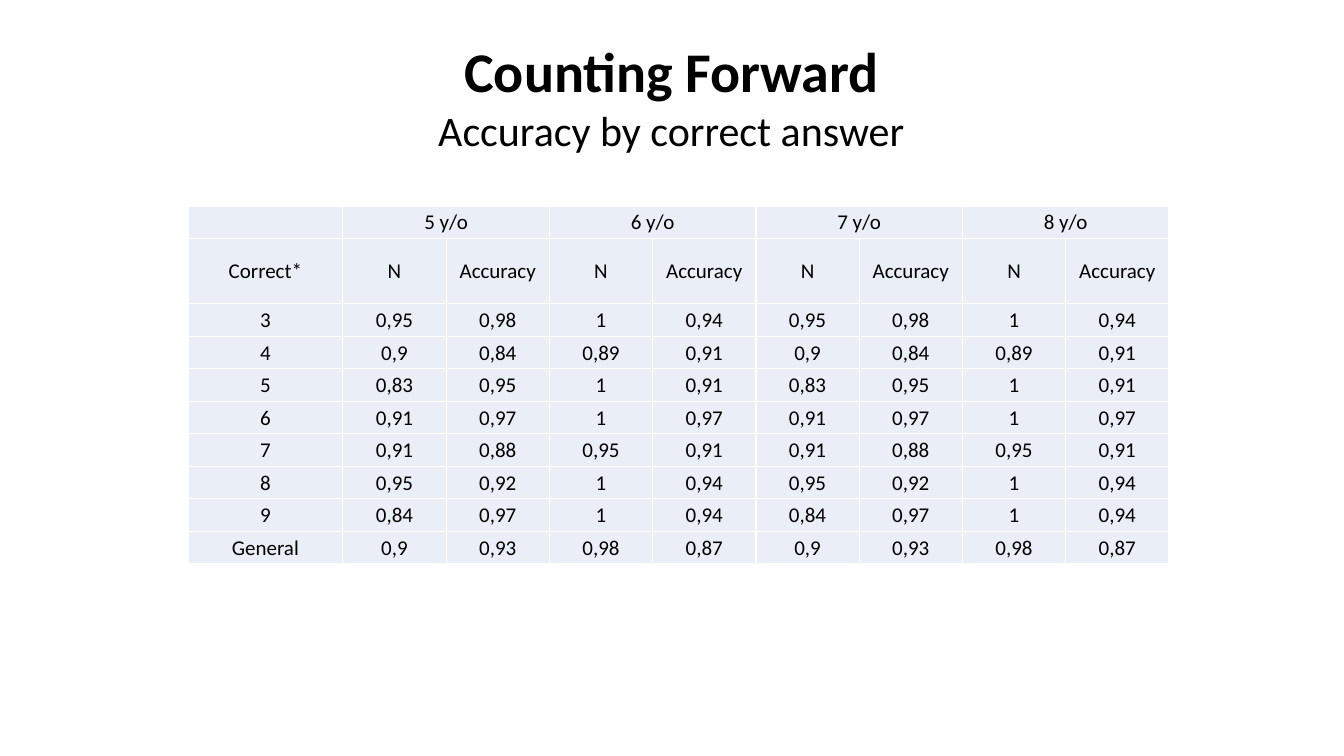
"""Build the Counting Forward slide with its accuracy table."""
import lxml.etree
import pptx
import pptx.dml.color
import pptx.enum.text
import pptx.oxml.ns
import pptx.util

COLORS = {"text": "000000", "cell": "EAEFF7", "border": "FFFFFF"}
AGES = ["5 y/o", "6 y/o", "7 y/o", "8 y/o"]
MEASURES = ["N", "Accuracy"]
RESULTS = [
    ["3", "0,95", "0,98", "1", "0,94"],
    ["4", "0,9", "0,84", "0,89", "0,91"],
    ["5", "0,83", "0,95", "1", "0,91"],
    ["6", "0,91", "0,97", "1", "0,97"],
    ["7", "0,91", "0,88", "0,95", "0,91"],
    ["8", "0,95", "0,92", "1", "0,94"],
    ["9", "0,84", "0,97", "1", "0,94"],
    ["General", "0,9", "0,93", "0,98", "0,87"],
]


def px(length):
    return pptx.util.Emu(round(length * 914400 / 100.8))


def rgb(name):
    return pptx.dml.color.RGBColor.from_string(COLORS[name])


def write(paragraph, text, size=15, bold=False, font="Calibri", color="text"):
    paragraph.alignment = pptx.enum.text.PP_ALIGN.CENTER
    run = paragraph.add_run()
    run.text = text
    run.font.name = font
    run.font.size = pptx.util.Pt(size)
    run.font.bold = bold
    run.font.color.rgb = rgb(color)


class AccuracySlide:
    def __init__(self, presentation):
        self.slide = presentation.slides.add_slide(presentation.slide_layouts[6])
        self.border_width = pptx.util.Pt(1)

    def heading(self, left, top, width, height, title, subtitle):
        shape = self.slide.shapes.add_textbox(px(left), px(top), px(width), px(height))
        frame = shape.text_frame
        frame.word_wrap = True
        frame.auto_size = pptx.enum.text.MSO_AUTO_SIZE.SHAPE_TO_FIT_TEXT
        write(frame.paragraphs[0], title, size=40, bold=True)
        write(frame.add_paragraph(), subtitle, size=30)

    def table(self, left, top, width, height, rows, column_shares, row_shares):
        table = self.slide.shapes.add_table(
            len(rows), len(column_shares), px(left), px(top), px(width), px(height)
        ).table
        table.first_row = False
        table.horz_banding = False
        for column, share in zip(table.columns, column_shares):
            column.width = px(width * share / sum(column_shares))
        for row, share in zip(table.rows, row_shares):
            row.height = px(height * share / sum(row_shares))
        for row, values in zip(table.rows, rows):
            for cell, value in zip(row.cells, values):
                self.style_cell(cell)
                write(cell.text_frame.paragraphs[0], value)
        return table

    def style_cell(self, cell):
        cell.margin_left = cell.margin_right = cell.margin_top = px(1)
        cell.margin_bottom = 0
        cell.vertical_anchor = pptx.enum.text.MSO_ANCHOR.MIDDLE
        properties = cell._tc.get_or_add_tcPr()
        qn = pptx.oxml.ns.qn
        for side in ("a:lnL", "a:lnR", "a:lnT", "a:lnB"):
            line = lxml.etree.SubElement(properties, qn(side), w=str(self.border_width))
            fill = lxml.etree.SubElement(line, qn("a:solidFill"))
            lxml.etree.SubElement(fill, qn("a:srgbClr"), val=COLORS["border"])
        cell.fill.solid()
        cell.fill.fore_color.rgb = rgb("cell")


def main():
    presentation = pptx.Presentation()
    presentation.slide_width = px(1344)
    presentation.slide_height = px(756)
    page = AccuracySlide(presentation)
    page.heading(409, 32, 525, 129, "Counting Forward", "Accuracy by correct answer")

    age_row = [""]
    for age in AGES:
        age_row += [age, ""]
    rows = [age_row, ["Correct*"] + MEASURES * len(AGES)]
    rows += [[answer] + values * 2 for answer, *values in RESULTS]
    table = page.table(
        188, 206, 981, 358, rows,
        column_shares=[3] + [2] * 8,
        row_shares=[1, 2] + [1] * len(RESULTS),
    )
    for column in range(1, len(age_row), 2):
        table.cell(0, column).merge(table.cell(0, column + 1))
    presentation.save("out.pptx")


if __name__ == "__main__":
    main()
